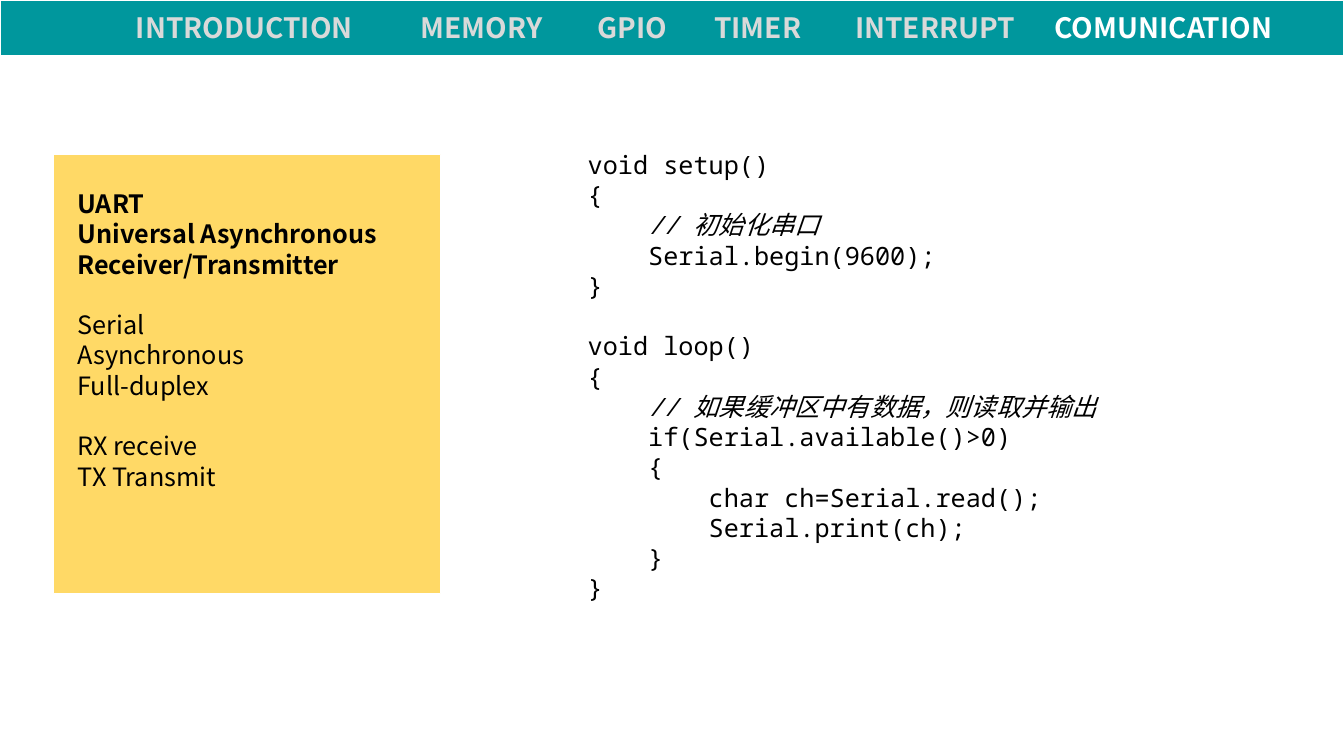
"""Build the UART slide: topic bar, summary panel and serial sketch."""
import pptx
import pptx.dml.color
import pptx.enum.shapes
import pptx.enum.text
import pptx.util
import lxml.etree

SANS, MONO = "Noto Sans CJK SC", "Noto Sans Mono"
rgb = pptx.dml.color.RGBColor.from_string
ALIGN = pptx.enum.text.PP_ALIGN

prs = pptx.Presentation()
prs.slide_width = pptx.util.Inches(13.33)
prs.slide_height = pptx.util.Inches(7.5)
s = prs.slides.add_slide(prs.slide_layouts[6])


def place(x, y, w, h):
    """Turn percentages of the slide into lengths."""
    W, H = prs.slide_width, prs.slide_height
    return [int(v * side / 100) for v, side in ((x, W), (y, H), (w, W), (h, H))]


def add_text(tf, text, font=SANS, size=18, color="000000", bold=False,
             italic=False, align=ALIGN.LEFT, before=0, level=0):
    """Add one paragraph; each level indents by four code characters."""
    tf.word_wrap = True
    tf.auto_size = pptx.enum.text.MSO_AUTO_SIZE.SHAPE_TO_FIT_TEXT
    p = tf.add_paragraph() if tf.text else tf.paragraphs[0]
    p.alignment = align
    p.space_before = pptx.util.Pt(before)
    p._p.get_or_add_pPr().set("marL", str(pptx.util.Inches(0.6 * level)))
    r = p.add_run()
    r.text = text
    r.font.name, r.font.size = font, pptx.util.Pt(size)
    r.font.bold, r.font.italic = bold, italic
    r.font.color.rgb = rgb(color)
    ea = lxml.etree.SubElement(r._r.rPr, pptx.oxml.ns.qn("a:ea"))
    ea.set("typeface", SANS)


for at, fill, width in [((3.98, 20.4, 28.81, 58.13), "FFD966", 0.75),
                        ((0, 0, 100, 7.33), "00979D", 1)]:
    sp = s.shapes.add_shape(pptx.enum.shapes.MSO_SHAPE.RECTANGLE, *place(*at))
    sp.shadow.inherit = False
    sp.fill.solid()
    sp.fill.fore_color.rgb = rgb(fill)
    sp.line.color.rgb = rgb("FFFFFF")
    sp.line.width = pptx.util.Pt(width)

topics = [
    ("INTRODUCTION", 9.38, 19.05, ALIGN.LEFT, "D9D9D9"),
    ("MEMORY", 28.21, 15.23, ALIGN.CENTER, "D9D9D9"),
    ("GPIO", 42.99, 8.1, ALIGN.CENTER, "D9D9D9"),
    ("TIMER", 51.61, 9.53, ALIGN.CENTER, "D9D9D9"),
    ("INTERRUPT", 61.97, 15.23, ALIGN.CENTER, "D9D9D9"),
    ("COMUNICATION", 76.14, 20.86, ALIGN.CENTER, "FFFFFF"),
]
for topic, x, w, align, color in topics:
    tf = s.shapes.add_textbox(*place(x, 0.8, w, 5.87)).text_frame
    add_text(tf, topic, size=20, color=color, bold=True, align=align)

groups = [
    ["UART", "Universal Asynchronous Receiver/Transmitter"],
    ["Serial", "Asynchronous", "Full-duplex"],
    ["RX receive", "TX Transmit"],
]
tf = s.shapes.add_textbox(*place(5.03, 24.27, 24.98, 41.73)).text_frame
for g, group in enumerate(groups):
    for i, line in enumerate(group):
        add_text(tf, line, bold=g == 0, before=21.7 if g and i == 0 else 0)

functions = [
    [(0, "void setup()"), (0, "{"), (1, "// 初始化串口"),
     (1, "Serial.begin(9600);"), (0, "}")],
    [(0, "void loop()"), (0, "{"), (1, "// 如果缓冲区中有数据，则读取并输出"),
     (1, "if(Serial.available()>0)"), (1, "{"),
     (2, "char ch=Serial.read();"), (2, "Serial.print(ch);"),
     (1, "}"), (0, "}")],
]
tf = s.shapes.add_textbox(*place(42.99, 19.07, 50.04, 61.87)).text_frame
for f, function in enumerate(functions):
    for i, (level, line) in enumerate(function):
        add_text(tf, line, font=MONO, italic=line.startswith("//"),
                 before=21.7 if f and i == 0 else 0, level=level)

prs.save("out.pptx")
